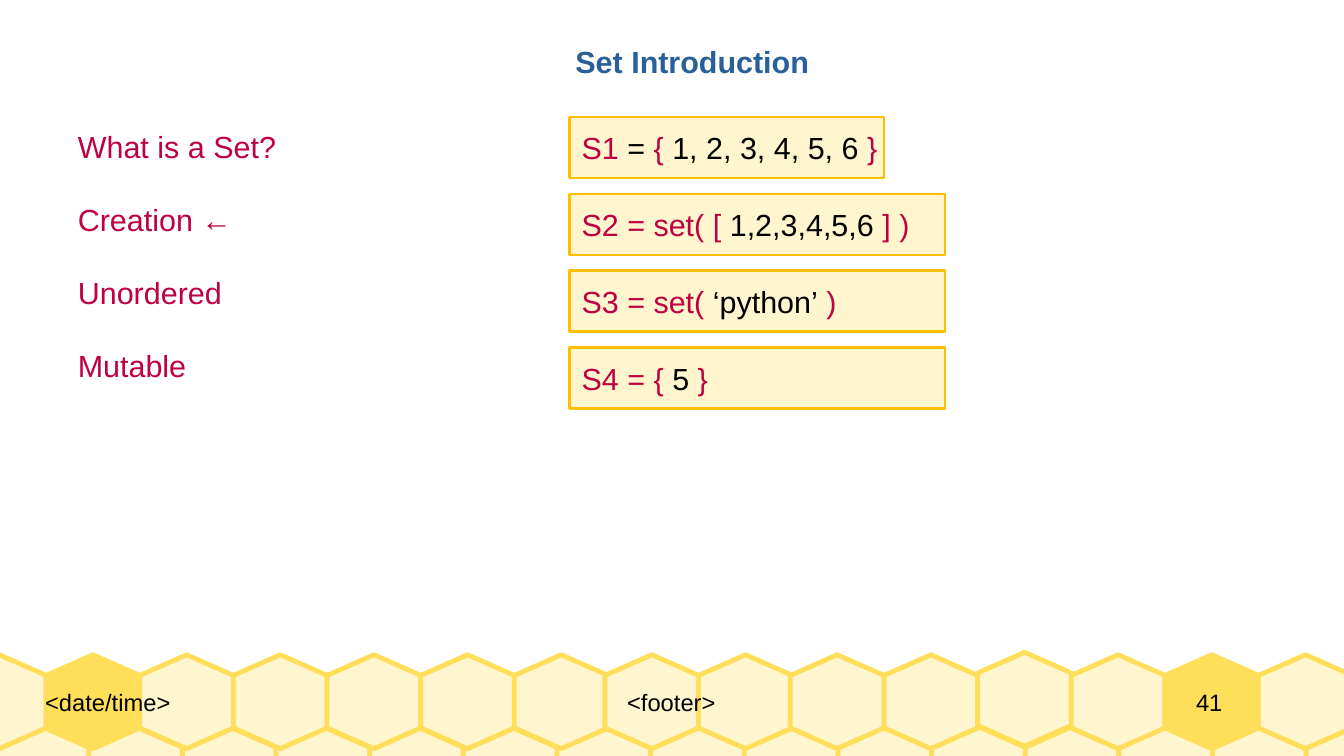
import pptx
import pptx.dml.color
import pptx.enum.shapes
import pptx.enum.text
import pptx.util

Inches = pptx.util.Inches
Pt = pptx.util.Pt
Align = pptx.enum.text.PP_ALIGN
Anchor = pptx.enum.text.MSO_ANCHOR

FONT = "Arial"
CREAM, HONEY, AMBER = "FFF5CE", "FFDE59", "FFBF00"
CRIMSON, BLACK, BLUE = "BF0041", "000000", "2A6099"

TITLE = "Set Introduction"
TOPICS = ["What is a Set?", "Creation ←", "Unordered", "Mutable"]
EXAMPLES = [
    (2.58, [("S1", CRIMSON), (" = ", BLACK), ("{", CRIMSON),
            (" 1, 2, 3, 4, 5, 6 ", BLACK), ("}", CRIMSON)]),
    (3.08, [("S2 = set( [ ", CRIMSON), ("1,2,3,4,5,6", BLACK), (" ] )", CRIMSON)]),
    (3.08, [("S3 = set( ", CRIMSON), ("‘python’", BLACK), (" )", CRIMSON)]),
    (3.08, [("S4 = { ", CRIMSON), ("5", BLACK), (" }", CRIMSON)]),
]
FOOTERS = [
    ("<date/time>", 0.37, 2.63, Align.LEFT),
    ("<footer>", 3, 5.01, Align.CENTER),
    ("41", 9.29, 1.25, Align.CENTER),
]

CELL, CELL_SHOULDER = 0.77, 0.17
CELL_PITCH = 10.75 / 14
LOWER_TOP, UPPER_TOP, RAISED_TOP = 5.96, 5.37, 5.35
LOWER_RUN = (-0.04, 15)
UPPER_RUNS = [(-0.39, 7), (4.96, 2), (6.48, 6)]
RAISED_CELL = 11
SOLID_CELLS = (1, 13)
EXAMPLE_LEFT, EXAMPLE_TOP, EXAMPLE_HEIGHT, EXAMPLE_PITCH = 4.67, 0.96, 0.5, 0.63


def color(value):
    return pptx.dml.color.RGBColor.from_string(value)


def paint(shape, fill, line, width):
    shape.shadow.inherit = False
    shape.fill.solid()
    shape.fill.fore_color.rgb = color(fill)
    shape.line.color.rgb = color(line)
    shape.line.width = Pt(width)


def run_lefts(start, count):
    return [start + CELL_PITCH * index for index in range(count)]


def add_cell(page, left, top, fill):
    middle, right, bottom = left + CELL / 2, left + CELL, top + CELL
    corners = [
        (middle, top),
        (left, top + CELL_SHOULDER), (left, bottom - CELL_SHOULDER),
        (middle, bottom),
        (right, bottom - CELL_SHOULDER), (right, top + CELL_SHOULDER),
    ]
    points = [(Inches(across), Inches(down)) for across, down in corners]
    builder = page.shapes.build_freeform(*points[0])
    builder.add_line_segments(points[1:], close=True)
    paint(builder.convert_to_shape(), fill, HONEY, 2.83)


def add_honeycomb(page):
    for left in run_lefts(*LOWER_RUN):
        add_cell(page, left, LOWER_TOP, CREAM)
    upper_lefts = [left for run in UPPER_RUNS for left in run_lefts(*run)]
    for index, left in enumerate(upper_lefts):
        top = RAISED_TOP if index == RAISED_CELL else UPPER_TOP
        add_cell(page, left, top, HONEY if index in SOLID_CELLS else CREAM)


def style(paragraph, size, text_color=None, bold=False):
    paragraph.font.name = FONT
    paragraph.font.size = Pt(size)
    paragraph.font.bold = bold
    if text_color:
        paragraph.font.color.rgb = color(text_color)


def add_label(page, left, top, width, height, lines, size, text_color, bold=False, gap=0):
    box = page.shapes.add_textbox(Inches(left), Inches(top), Inches(width), Inches(height))
    frame = box.text_frame
    frame.word_wrap = True
    for index, line in enumerate(lines):
        para = frame.add_paragraph() if index else frame.paragraphs[0]
        para.text = line
        if index and gap:
            para.space_before = Pt(gap)
        style(para, size, text_color, bold)


def add_footer(page, text, left, width, alignment):
    box = page.shapes.add_textbox(Inches(left), Inches(UPPER_TOP), Inches(width), Inches(CELL))
    frame = box.text_frame
    frame.word_wrap = True
    frame.vertical_anchor = Anchor.MIDDLE
    frame.margin_left = frame.margin_right = frame.margin_top = frame.margin_bottom = 0
    para = frame.paragraphs[0]
    para.text = text
    para.alignment = alignment
    style(para, 14, BLACK)


def add_example(page, top, width, spans):
    box = page.shapes.add_shape(
        pptx.enum.shapes.MSO_SHAPE.RECTANGLE,
        Inches(EXAMPLE_LEFT), Inches(top), Inches(width), Inches(EXAMPLE_HEIGHT))
    paint(box, CREAM, AMBER, 1.42)
    frame = box.text_frame
    frame.word_wrap = False
    frame.vertical_anchor = Anchor.MIDDLE
    para = frame.paragraphs[0]
    para.alignment = Align.JUSTIFY
    style(para, 18)
    for text, text_color in spans:
        span = para.add_run()
        span.text = text
        span.font.color.rgb = color(text_color)


def main():
    deck = pptx.Presentation()
    deck.slide_width, deck.slide_height = Inches(11.02), Inches(6.2)
    page = deck.slides.add_slide(deck.slide_layouts[6])
    add_honeycomb(page)
    for footer in FOOTERS:
        add_footer(page, *footer)
    add_label(page, 4.62, 0.3, 2.2, 0.38, [TITLE], 18, BLUE, bold=True)
    add_label(page, 0.54, 1, 1.9, 2.06, TOPICS, 18, CRIMSON, gap=21.6)
    for index, (width, spans) in enumerate(EXAMPLES):
        add_example(page, EXAMPLE_TOP + index * EXAMPLE_PITCH, width, spans)
    deck.save("out.pptx")


if __name__ == "__main__":
    main()
